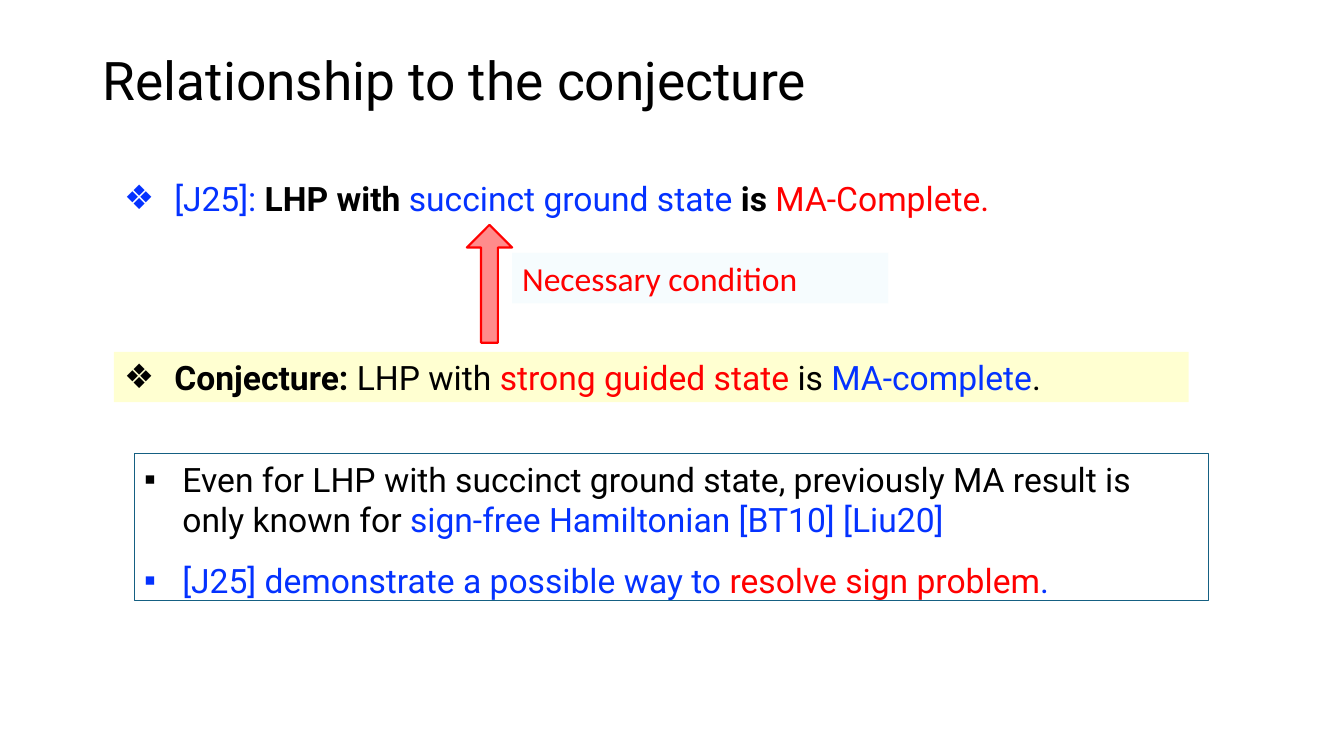
import dataclasses
import lxml.etree
import pptx
import pptx.dml.color
import pptx.enum.shapes
import pptx.enum.text
import pptx.oxml.ns
import pptx.util

Inches = pptx.util.Inches
Pt = pptx.util.Pt
RGB = pptx.dml.color.RGBColor.from_string
qn = pptx.oxml.ns.qn
MSO_SHAPE = pptx.enum.shapes.MSO_SHAPE
MSO_ANCHOR = pptx.enum.text.MSO_ANCHOR


@dataclasses.dataclass(frozen=True)
class Theme:
    black: str = "000000"
    blue: str = "0432FF"
    red: str = "FF0000"
    yellow: str = "FFFF00"
    pale: str = "CAEEFB"
    teal: str = "156082"
    font: str = "Roboto"
    label_font: str = "Calibri"
    title_size: int = 38
    body_size: int = 24


T = Theme()


def place(sp, box):
    sp.left, sp.top, sp.width, sp.height = (Inches(v) for v in box)


def paint(sp, color, opacity):
    sp.fill.solid()
    sp.fill.fore_color.rgb = RGB(color)
    clr = sp.fill._xPr.find(qn("a:solidFill"))[0]
    lxml.etree.SubElement(clr, qn("a:alpha"), val=str(opacity * 1000))


def write(p, runs, font=T.font, size=T.body_size, bullet=None, indent=0, spacing=1.0):
    pPr = p._p.get_or_add_pPr()
    if bullet:
        pPr.set("marL", str(Inches(indent)))
        pPr.set("indent", str(-Inches(indent)))
        lxml.etree.SubElement(pPr, qn("a:buFont"), typeface="Arial")
        lxml.etree.SubElement(pPr, qn("a:buChar"), char=bullet)
    p.alignment = pptx.enum.text.PP_ALIGN.LEFT
    p.line_spacing = spacing
    p.space_before = Pt(0)
    for text, color, bold in runs:
        r = p.add_run()
        r.text = text
        r.font.name = font
        r.font.size = Pt(size)
        r.font.bold = bold
        r.font.color.rgb = RGB(color)


def frame(sp, anchor=MSO_ANCHOR.TOP):
    tf = sp.text_frame
    tf.word_wrap = True
    tf.auto_size = pptx.enum.text.MSO_AUTO_SIZE.NONE
    tf.vertical_anchor = anchor
    return tf


def add_title(sp, box, text):
    place(sp, box)
    tf = frame(sp, MSO_ANCHOR.MIDDLE)
    write(tf.paragraphs[0], [(text, T.black, False)], size=T.title_size, spacing=0.9)


def add_statement(sp, box, runs):
    place(sp, box)
    write(frame(sp).paragraphs[0], runs, bullet="❖", indent=0.5)


def add_remarks(sp, box, remarks):
    place(sp, box)
    sp.line.color.rgb = RGB(T.teal)
    sp.line.width = Pt(0.75)
    tf = frame(sp)
    for i, (runs, spacing) in enumerate(remarks):
        p = tf.add_paragraph() if i else tf.paragraphs[0]
        write(p, runs, bullet="▪", indent=0.38, spacing=spacing)


def add_implication(s, box, text):
    x, y, w, h = box
    arrow_w, label_w, label_h = 0.45, 3.73, 0.5
    arrow = s.shapes.add_shape(
        MSO_SHAPE.RIGHT_ARROW,
        Inches(x + (arrow_w - h) / 2), Inches(y + (h - arrow_w) / 2),
        Inches(h), Inches(arrow_w))
    arrow.rotation = 270
    arrow.adjustments[0] = 0.373
    arrow.adjustments[1] = 0.5
    arrow.shadow.inherit = False
    paint(arrow, T.red, 45)
    arrow.line.color.rgb = RGB(T.red)
    arrow.line.width = Pt(1.5)

    label = s.shapes.add_shape(
        MSO_SHAPE.RECTANGLE, Inches(x + w - label_w), Inches(y + 0.28),
        Inches(label_w), Inches(label_h))
    label.shadow.inherit = False
    paint(label, T.pale, 16)
    label.line.fill.background()
    write(frame(label).paragraphs[0], [(text, T.red, False)], font=T.label_font)


def add_conjecture_slide(prs):
    s = prs.slides.add_slide(prs.slide_layouts[4])
    ph = {sp.placeholder_format.idx: sp for sp in s.placeholders}
    add_title(ph[0], (0.92, 0.1, 11.5, 1.45), "Relationship to the conjecture")
    left, width, height = 1.13, 10.66, 0.5
    add_statement(ph[1], (left, 1.71, width, height), [
        ("[J25]: ", T.blue, False),
        ("LHP with ", T.black, True),
        ("succinct ground state ", T.blue, False),
        ("is ", T.black, True),
        ("MA-Complete.", T.red, False)])
    add_implication(s, (4.63, 2.23, 4.18, 1.17), "Necessary condition")
    add_statement(ph[3], (left, 3.49, width, height), [
        ("Conjecture: ", T.black, True),
        ("LHP with ", T.black, False),
        ("strong guided state ", T.red, False),
        ("is ", T.black, False),
        ("MA-complete", T.blue, False),
        (".", T.black, False)])
    paint(ph[3], T.yellow, 18)
    add_remarks(ph[2], (left + 0.2, 4.5, width, 1.46), [
        ([("Even for LHP with succinct ground state, previously MA result is only known for ",
           T.black, False),
          ("sign-free Hamiltonian [BT10] [Liu20]", T.blue, False)], 1.0),
        ([("[J25] demonstrate a possible way to ", T.blue, False),
          ("resolve sign problem", T.red, False),
          (".", T.blue, False)], 1.5)])
    spare = ph[4]._element
    spare.getparent().remove(spare)


def main():
    prs = pptx.Presentation()
    prs.slide_width = Inches(13.33)
    prs.slide_height = Inches(7.5)
    add_conjecture_slide(prs)
    prs.save("out.pptx")


if __name__ == "__main__":
    main()
